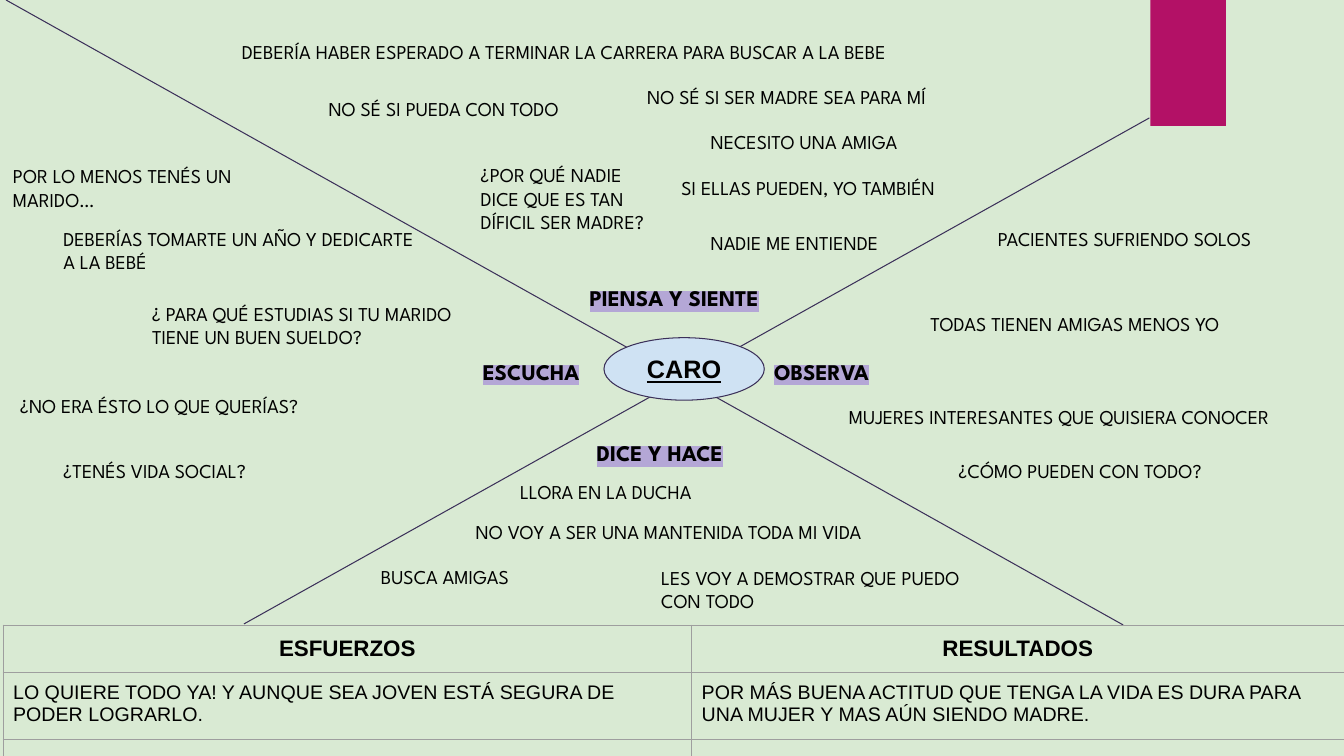
import pptx
import pptx.util
import pptx.dml.color
import pptx.enum.shapes
import pptx.enum.text
import pptx.oxml
import pptx.oxml.ns
from dataclasses import dataclass

Inches = pptx.util.Inches
Pt = pptx.util.Pt
Rgb = pptx.dml.color.RGBColor.from_string
qn = pptx.oxml.ns.qn
Align = pptx.enum.text.PP_ALIGN
Anchor = pptx.enum.text.MSO_ANCHOR
Kind = pptx.enum.shapes.MSO_SHAPE


@dataclass
class Theme:
    back: str = "D9EAD3"
    accent: str = "B31166"
    line: str = "3B3059"
    oval: str = "CFE2F3"
    mark: str = "B4A7D6"
    grid: str = "9E9E9E"
    ink: str = "000000"
    plain: str = "Arial"
    hand: str = "League Spartan"
    name: int = 18
    head: int = 16
    body: int = 14
    rule: float = 0.75
    pad: float = 0.1


theme = Theme()


def style(frame, text, face, size, bold=False):
    frame.text = text
    frame.word_wrap = True
    font = frame.paragraphs[0].runs[0].font
    font.name, font.size, font.bold = face, Pt(size), bold
    font.color.rgb = Rgb(theme.ink)
    return font


def label(text, left, top, width, height, size, bold=False):
    box = slide.shapes.add_textbox(Inches(left), Inches(top), Inches(width), Inches(height))
    frame = box.text_frame
    style(frame, text, theme.hand, size, bold)
    frame.margin_left = frame.margin_right = Inches(theme.pad)
    frame.margin_top = frame.margin_bottom = Inches(theme.pad)
    frame.auto_size = pptx.enum.text.MSO_AUTO_SIZE.SHAPE_TO_FIT_TEXT
    return frame.paragraphs[0].runs[0]


deck = pptx.Presentation()
deck.slide_width, deck.slide_height = Inches(13.33), Inches(7.5)
slide = deck.slides.add_slide(deck.slide_layouts[6])
slide.background.fill.solid()
slide.background.fill.fore_color.rgb = Rgb(theme.back)

tab = slide.shapes.add_shape(Kind.RECTANGLE, Inches(11.41), 0, Inches(0.75), Inches(1.25))
tab.shadow.inherit = False
tab.fill.solid()
tab.fill.fore_color.rgb = Rgb(theme.accent)
tab.line.fill.background()

for ends in [(0.06, 0, 11.14, 6.2), (11.4, 1.17, 2.42, 6.19)]:
    line = slide.shapes.add_connector(
        pptx.enum.shapes.MSO_CONNECTOR.STRAIGHT, *[Inches(n) for n in ends])
    line.line.color.rgb = Rgb(theme.line)
    line.line.width = Pt(theme.rule)
    line._element.spPr.append(pptx.oxml.parse_xml(
        f'<a:effectLst {pptx.oxml.ns.nsdecls("a")}/>'))

oval = slide.shapes.add_shape(Kind.OVAL, Inches(5.99), Inches(3.35), Inches(1.59), Inches(0.62))
oval.shadow.inherit = False
oval.fill.solid()
oval.fill.fore_color.rgb = Rgb(theme.oval)
oval.line.color.rgb = Rgb(theme.line)
oval.line.width = Pt(theme.rule)
style(oval.text_frame, "CARO", theme.plain, theme.name, True).underline = True
oval.text_frame.vertical_anchor = Anchor.MIDDLE
oval.text_frame.paragraphs[0].alignment = Align.CENTER

heads = [
    ("PIENSA Y SIENTE", 5.75, 2.72, 1.96),
    ("OBSERVA", 7.58, 3.45, 1.25),
    ("ESCUCHA", 4.69, 3.45, 1.25),
    ("DICE Y HACE", 5.82, 4.26, 1.65),
]
for text, left, top, width in heads:
    run = label(text, left, top, width, 0.47, theme.head, True)
    mark = pptx.oxml.parse_xml(
        f'<a:highlight {pptx.oxml.ns.nsdecls("a")}><a:srgbClr val="{theme.mark}"/></a:highlight>')
    run._r.rPr.find(qn("a:solidFill")).addnext(mark)

notes = [
    ("DEBERÍA HABER ESPERADO A TERMINAR LA CARRERA PARA BUSCAR A LA BEBE", 2.3, 0.3, 8.22, 1),
    ("NO SÉ SI PUEDA CON TODO", 3.16, 0.86, 2.89, 1),
    ("NO SÉ SI SER MADRE SEA PARA MÍ", 6.32, 0.74, 4.29, 1),
    ("NECESITO UNA AMIGA", 6.95, 1.19, 3.14, 1),
    ("¿POR QUÉ NADIE DICE QUE ES TAN DÍFICIL SER MADRE?", 4.67, 1.52, 1.96, 3),
    ("SI ELLAS PUEDEN, YO TAMBIÉN", 6.66, 1.65, 4.29, 1),
    ("NADIE ME ENTIENDE", 6.95, 2.19, 2.23, 1),
    ("POR LO MENOS TENÉS UN MARIDO…", 0.03, 1.53, 2.89, 2),
    ("DEBERÍAS TOMARTE UN AÑO Y DEDICARTE A LA BEBÉ", 0.53, 2.15, 3.83, 2),
    ("¿ PARA QUÉ ESTUDIAS SI TU MARIDO TIENE UN BUEN SUELDO?", 1.41, 2.89, 3.56, 2),
    ("¿NO ERA ÉSTO LO QUE QUERÍAS?", 0.1, 3.81, 8.29, 1),
    ("¿TENÉS VIDA SOCIAL?", 0.53, 4.45, 2.97, 1),
    ("PACIENTES SUFRIENDO SOLOS", 9.8, 2.15, 3.4, 1),
    ("TODAS TIENEN AMIGAS MENOS YO", 9.13, 2.99, 3.83, 1),
    ("MUJERES INTERESANTES QUE QUISIERA CONOCER", 8.32, 3.92, 5.01, 1),
    ("¿CÓMO PUEDEN CON TODO?", 9.41, 4.45, 3.4, 1),
    ("LLORA EN LA DUCHA", 5.06, 4.66, 3.27, 1),
    ("NO VOY A SER UNA MANTENIDA TODA MI VIDA", 4.62, 5.06, 4.8, 1),
    ("BUSCA AMIGAS", 3.68, 5.5, 3.27, 1),
    ("LES VOY A DEMOSTRAR QUE PUEDO CON TODO", 6.46, 5.51, 3.56, 2),
]
for text, left, top, width, rows in notes:
    label(text, left, top, width, 0.2 + 0.24 * rows, theme.body)

cells = [
    ("ESFUERZOS", "RESULTADOS"),
    ("LO QUIERE TODO YA! Y AUNQUE SEA JOVEN ESTÁ SEGURA DE PODER LOGRARLO.",
     "POR MÁS BUENA ACTITUD QUE TENGA LA VIDA ES DURA PARA UNA MUJER Y MAS AÚN SIENDO MADRE."),
    ("", ""),
]
wide = [6.83, 6.47]
high = [0.46, 0.67, 0.42]
grid = slide.shapes.add_table(
    3, 2, Inches(0.03), Inches(6.2), Inches(sum(wide)), Inches(sum(high))).table
grid.first_row = grid.horz_banding = False
for col, width in zip(grid.columns, wide):
    col.width = Inches(width)
for row, height, texts, top in zip(grid.rows, high, cells, [True, False, False]):
    row.height = Inches(height)
    for cell, text in zip(row.cells, texts):
        cell.margin_left = cell.margin_right = Inches(theme.pad)
        cell.margin_top = cell.margin_bottom = Inches(theme.pad)
        for side in ["lnL", "lnR", "lnT", "lnB"]:
            cell._tc.get_or_add_tcPr().append(pptx.oxml.parse_xml(
                f'<a:{side} {pptx.oxml.ns.nsdecls("a")} w="{Pt(theme.rule)}"><a:solidFill>'
                f'<a:srgbClr val="{theme.grid}"/></a:solidFill></a:{side}>'))
        cell.fill.background()
        if text:
            size = theme.head if top else theme.body
            style(cell.text_frame, text, theme.plain, size, top)
        if top:
            cell.vertical_anchor = Anchor.MIDDLE
            cell.text_frame.paragraphs[0].alignment = Align.CENTER

deck.save("out.pptx")
